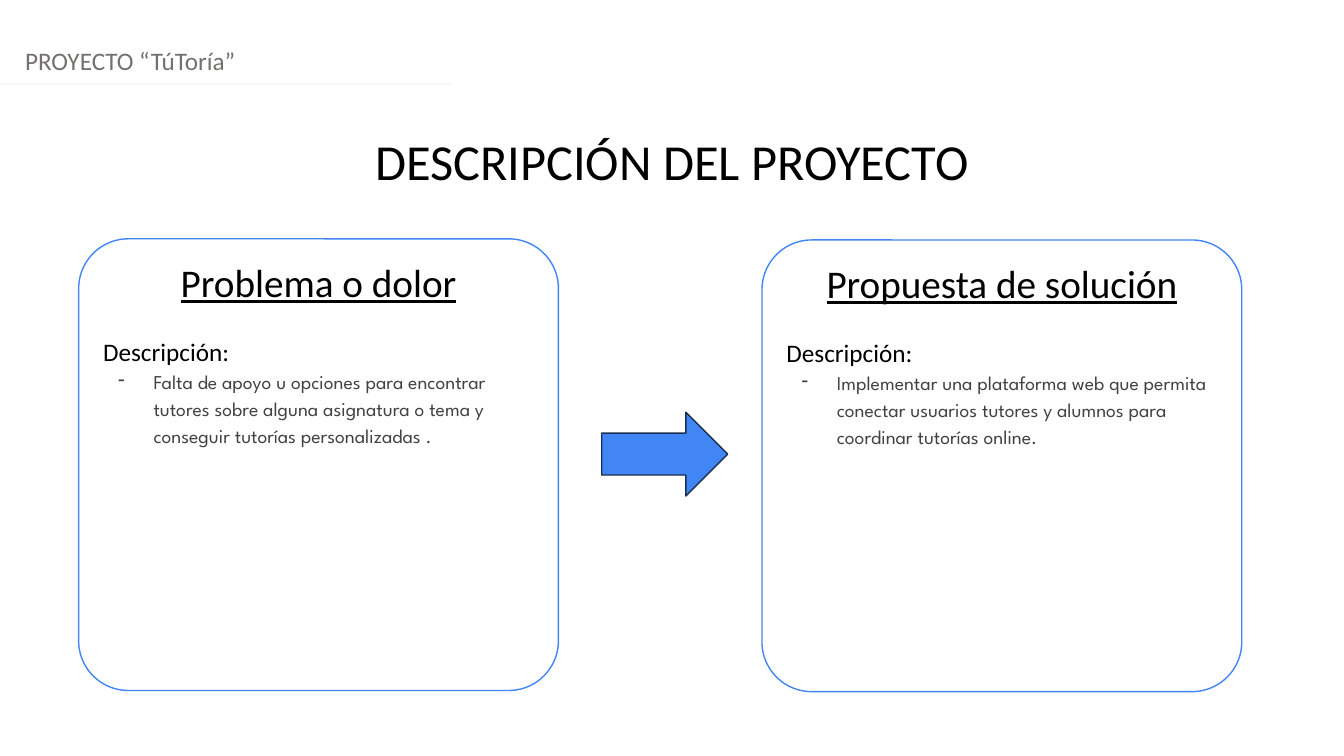
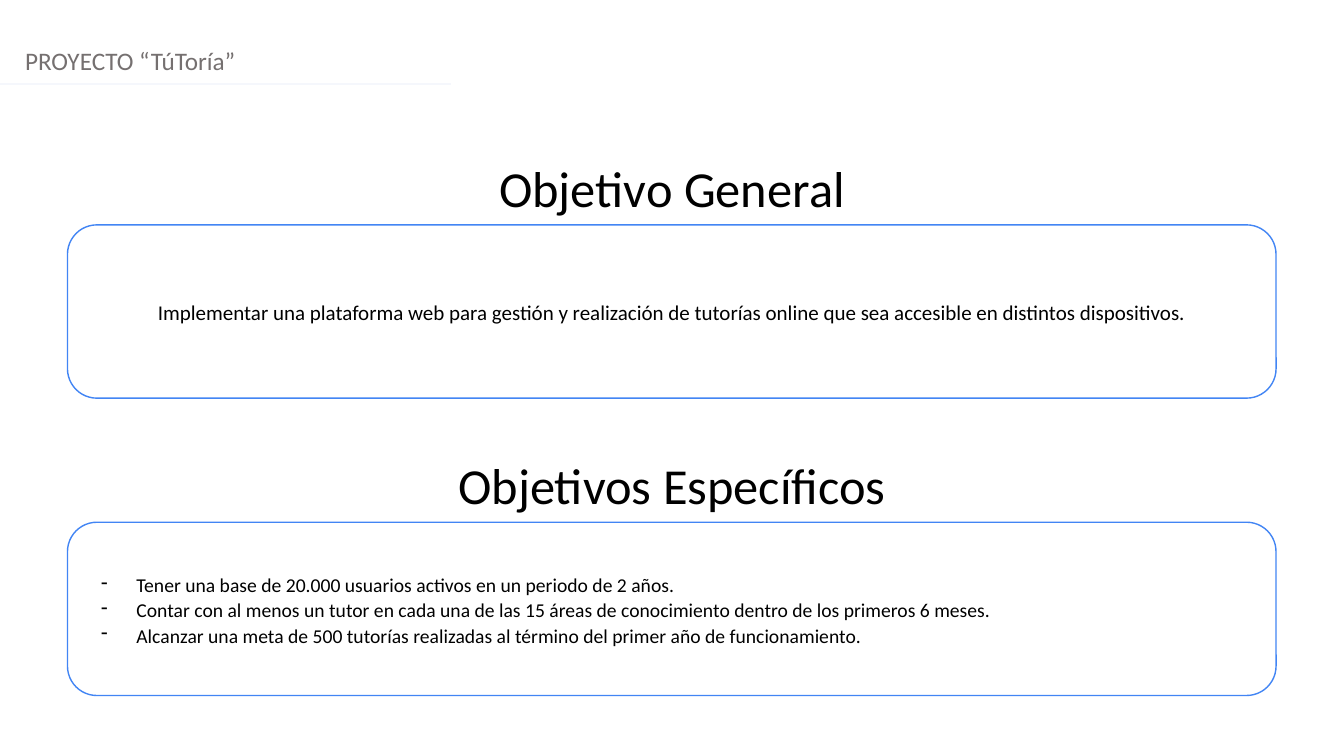
from lxml.etree import SubElement
from pptx import Presentation
from pptx.dml.color import RGBColor
from pptx.enum.shapes import MSO_CONNECTOR, MSO_SHAPE
from pptx.enum.text import MSO_ANCHOR, MSO_AUTO_SIZE, PP_ALIGN
from pptx.oxml.ns import qn
from pptx.util import Pt

PAGE_WIDTH, PAGE_HEIGHT = 960, 540


def color(hex_text):
    return RGBColor.from_string(hex_text)


class Slides:
    """Holds the shared style and the page being built."""

    FONT, DETAIL_FONT = "Calibri", "League Spartan"
    BLACK, WHITE, BLUE = "000000", "FFFFFF", "4285F4"
    HEADER, RULE, DETAIL, ARROW_EDGE = "757070", "F5F7FC", "424242", "1C3052"

    def __init__(self):
        self.deck = Presentation()
        self.deck.slide_width = Pt(PAGE_WIDTH)
        self.deck.slide_height = Pt(PAGE_HEIGHT)
        self.page = None

    def new_page(self):
        """Start a blank page with the project header and its rule."""
        self.page = self.deck.slides.add_slide(self.deck.slide_layouts[6])
        self.text_box("PROYECTO “TúToría”", 10.8, 28.8, 29, 18, self.HEADER)
        rule = self.page.shapes.add_connector(
            MSO_CONNECTOR.STRAIGHT, Pt(0), Pt(59.8), Pt(321.8), Pt(59.8))
        rule.line.color.rgb = color(self.RULE)
        rule.line.width = Pt(1.25)
        SubElement(rule._element.spPr, qn("a:effectLst"))

    def text_box(self, text, left, top, height, size, hue, align=PP_ALIGN.LEFT):
        box = self.page.shapes.add_textbox(
            Pt(left), Pt(top), Pt(PAGE_WIDTH), Pt(height))
        box.text_frame.word_wrap = True
        box.text_frame.auto_size = MSO_AUTO_SIZE.SHAPE_TO_FIT_TEXT
        self.fill_para(box.text_frame.paragraphs[0], text, size, hue=hue, align=align)

    def title(self, text, top):
        self.text_box(text, 0, top, 51, 36, self.BLACK, PP_ALIGN.CENTER)

    def shape(self, kind, left, top, width, height, fill, line):
        shape = self.page.shapes.add_shape(
            kind, Pt(left), Pt(top), Pt(width), Pt(height))
        shape.shadow.inherit = False
        shape.fill.solid()
        shape.fill.fore_color.rgb = color(fill)
        shape.line.color.rgb = color(line)
        shape.line.width = Pt(1)
        return shape

    def panel(self, left, top, width, height, rounding, anchor, paras):
        """Add a rounded panel; paras lists (text, size, options)."""
        panel = self.shape(MSO_SHAPE.ROUNDED_RECTANGLE, left, top, width, height,
                           self.WHITE, self.BLUE)
        panel.adjustments[0] = rounding
        frame = panel.text_frame
        frame.word_wrap = True
        frame.vertical_anchor = anchor
        for index, (text, size, options) in enumerate(paras):
            para = frame.add_paragraph() if index else frame.paragraphs[0]
            self.fill_para(para, text, size, **options)

    def arrow(self, left, top, width, height):
        self.shape(MSO_SHAPE.RIGHT_ARROW, left, top, width, height,
                   self.BLUE, self.ARROW_EDGE)

    def fill_para(self, para, text, size, hue=BLACK, font=FONT, align=PP_ALIGN.LEFT,
                  underline=False, spacing=1.0, after=0, bullet=False):
        para.text = text
        if bullet:
            self.add_dash(para, hue)
        para.alignment = align
        para.line_spacing = spacing
        para.space_after = Pt(after)
        para.font.name = font
        para.font.size = Pt(size)
        para.font.color.rgb = color(hue)
        para.font.underline = underline

    def add_dash(self, para, hue):
        props = para._p.get_or_add_pPr()
        props.set("marL", str(Pt(36)))
        props.set("indent", str(Pt(-25.2)))
        SubElement(SubElement(props, qn("a:buClr")), qn("a:srgbClr"), val=hue)
        SubElement(props, qn("a:buChar"), char="-")


def build_description(slides):
    slides.new_page()
    slides.title("DESCRIPCIÓN DEL PROYECTO", 89.3)

    # Problem and solution cards
    heading = dict(align=PP_ALIGN.CENTER, underline=True, after=22)
    detail = dict(hue=Slides.DETAIL, font=Slides.DETAIL_FONT,
                  spacing=1.15, bullet=True)
    cards = [
        (56.2, 170.6, "Problema o dolor",
         "Falta de apoyo u opciones para encontrar tutores sobre alguna asignatura "
         "o tema y conseguir tutorías personalizadas ."),
        (544.3, 171.4, "Propuesta de solución",
         "Implementar una plataforma web que permita conectar usuarios tutores "
         "y alumnos para coordinar tutorías online."),
    ]
    for left, top, name, text in cards:
        slides.panel(left, top, 342.7, 322.6, 0.11, MSO_ANCHOR.TOP, [
            (name, 28, heading),
            ("Descripción:", 18, dict(align=PP_ALIGN.JUSTIFY)),
            (text, 14, detail),
        ])
    slides.arrow(429.8, 294.5, 90, 59.8)


def build_objectives(slides):
    slides.new_page()
    general = dict(align=PP_ALIGN.CENTER, spacing=1.08, after=8)
    specific = dict(align=PP_ALIGN.JUSTIFY, spacing=1.08, bullet=True)
    goals = [
        "Tener una base de 20.000 usuarios activos en un periodo de 2 años.",
        "Contar con al menos un tutor en cada una de las 15 áreas de conocimiento "
        "dentro de los primeros 6 meses.",
        "Alcanzar una meta de 500 tutorías realizadas al término del primer año "
        "de funcionamiento.",
    ]
    sections = [
        ("Objetivo General",
         [("Implementar una plataforma web para gestión y realización de tutorías "
           "online que sea accesible en distintos dispositivos.", 15, general)]),
        ("Objetivos Específicos", [(goal, 14, specific) for goal in goals]),
    ]

    # Each title sits on top of its panel
    for index, (name, paras) in enumerate(sections):
        top = 108.7 + index * 212.4
        slides.title(name, top)
        slides.panel(48.2, top + 51.9, 863.3, 123.8, 0.17, MSO_ANCHOR.MIDDLE, paras)


def main():
    slides = Slides()
    build_description(slides)
    build_objectives(slides)
    slides.deck.save("out.pptx")


if __name__ == "__main__":
    main()
